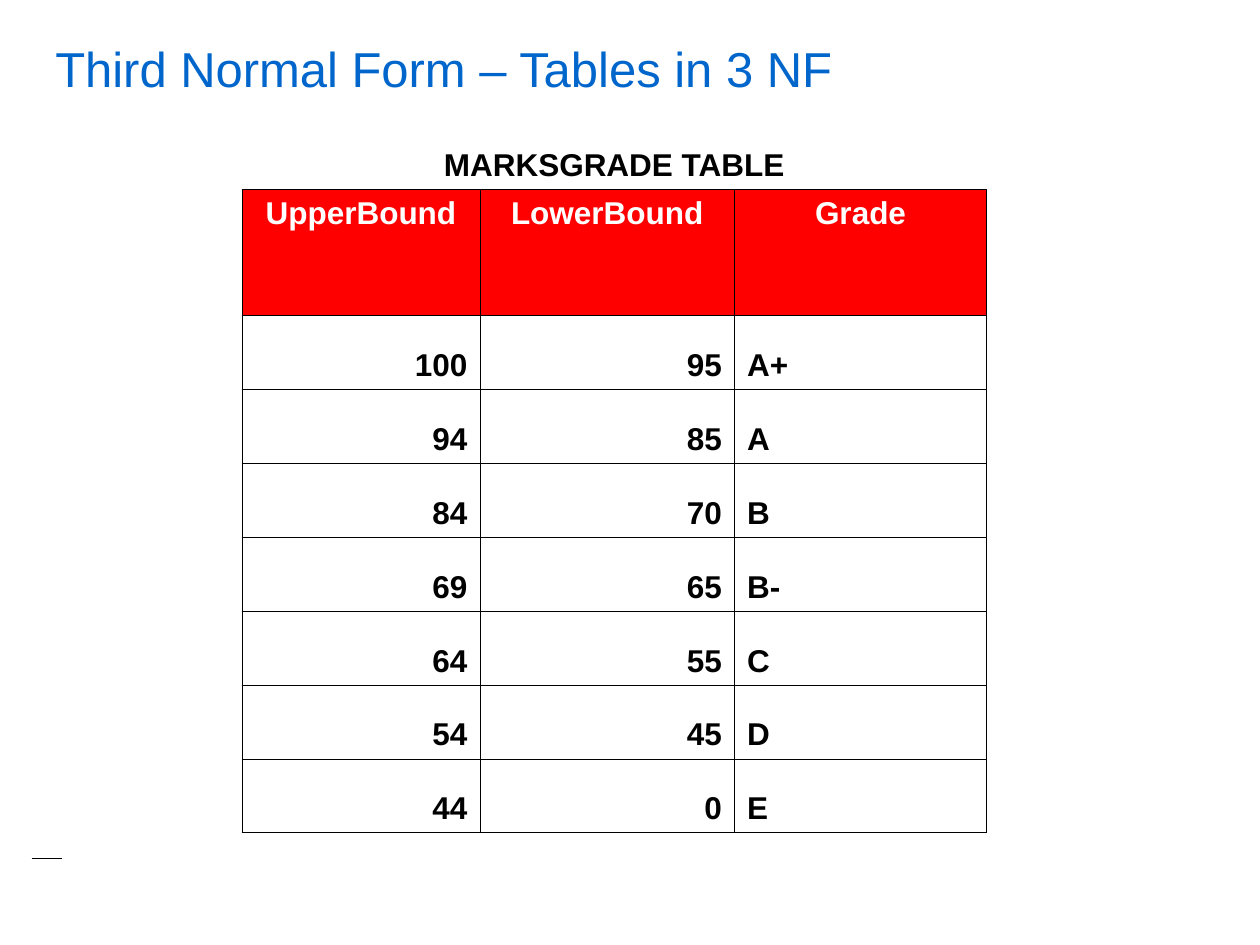
"""Build the slide on the marks and grades table in third normal form."""
from dataclasses import dataclass

from lxml.etree import SubElement
from pptx import Presentation
from pptx.dml.color import RGBColor
from pptx.enum.text import MSO_ANCHOR as Anchor, PP_ALIGN as Align
from pptx.oxml.ns import qn
from pptx.util import Inches, Pt

FONT = "Arial"
COLORS = {"title": "0066CC", "header": "FF0000", "header_text": "FFFFFF", "ink": "000000"}
GRADES = [
    ("100", "95", "A+"),
    ("94", "85", "A"),
    ("84", "70", "B"),
    ("69", "65", "B-"),
    ("64", "55", "C"),
    ("54", "45", "D"),
    ("44", "0", "E"),
]
COLUMN_WIDTHS = [1.89, 2.02, 2]
HEADER_HEIGHT = 1
TABLE_HEIGHT = 5.69


@dataclass(frozen=True)
class CellStyle:
    """Look of one kind of cell."""
    align: Align = Align.LEFT
    anchor: Anchor = Anchor.BOTTOM
    color: str = "ink"
    fill: str = ""
    borders: str = "LRTB"


CAPTION = CellStyle(Align.CENTER, borders="B")
HEADER = CellStyle(Align.CENTER, Anchor.TOP, "header_text", "header")
NUMBER = CellStyle(Align.RIGHT)
LETTER = CellStyle()
RULE = CellStyle(borders="B")


def add_run(paragraph, text: str, size: float, color: str, bold: bool = False) -> None:
    """Add one formatted run to a paragraph."""
    run = paragraph.add_run()
    run.text = text
    run.font.name = FONT
    run.font.size = Pt(size)
    run.font.bold = bold
    run.font.color.rgb = RGBColor.from_string(COLORS[color])


def style_cell(cell, style: CellStyle, text: str = "") -> None:
    """Set the borders, fill and text of a cell."""
    properties = cell._tc.get_or_add_tcPr()
    for side in "LRTB":
        line = SubElement(properties, qn(f"a:ln{side}"), w=str(Pt(0.45)))
        if side in style.borders:
            solid = SubElement(line, qn("a:solidFill"))
            SubElement(solid, qn("a:srgbClr"), val=COLORS["ink"])
        else:
            SubElement(line, qn("a:noFill"))
    if style.fill:
        cell.fill.solid()
        cell.fill.fore_color.rgb = RGBColor.from_string(COLORS[style.fill])
    else:
        cell.fill.background()
    cell.vertical_anchor = style.anchor
    paragraph = cell.text_frame.paragraphs[0]
    paragraph.alignment = style.align
    if text:
        add_run(paragraph, text, 18, style.color, bold=True)


def add_plain_table(slide, left: float, top: float, widths: list[float], heights: list[float]):
    """Add a table without banding and size its columns and rows."""
    table = slide.shapes.add_table(
        len(heights), len(widths), Inches(left), Inches(top),
        Inches(sum(widths)), Inches(sum(heights)),
    ).table
    table.first_row = table.horz_banding = False
    for column, width in zip(table.columns, widths):
        column.width = Inches(width)
    for row, height in zip(table.rows, heights):
        row.height = Inches(height)
    return table


def add_title(slide) -> None:
    """Add the slide title."""
    title = slide.shapes.add_textbox(Inches(0.34), Inches(0.26), Inches(9.38), Inches(0.56))
    title.text_frame.word_wrap = True
    title.text_frame.vertical_anchor = Anchor.MIDDLE
    add_run(title.text_frame.paragraphs[0], "Third Normal Form – Tables in 3 NF", 28, "title")


def add_marks_table(slide) -> None:
    """Add the table of mark bounds and grades."""
    row_height = (TABLE_HEIGHT - HEADER_HEIGHT) / (len(GRADES) + 1)
    heights = [row_height, HEADER_HEIGHT] + [row_height] * len(GRADES)
    marks = add_plain_table(slide, 1.92, 0.92, COLUMN_WIDTHS, heights)
    rows = [
        (("MARKSGRADE TABLE", "", ""), [CAPTION] * 3),
        (("UpperBound", "LowerBound", "Grade"), [HEADER] * 3),
        *((grade, [NUMBER, NUMBER, LETTER]) for grade in GRADES),
    ]
    for row, (texts, styles) in enumerate(rows):
        for column, (text, style) in enumerate(zip(texts, styles)):
            style_cell(marks.cell(row, column), style, text)
    marks.cell(0, 0).merge(marks.cell(0, 2))


def main() -> None:
    """Create and save the presentation."""
    deck = Presentation()
    deck.slide_width, deck.slide_height = Inches(10), Inches(7.5)
    slide = deck.slides.add_slide(deck.slide_layouts[6])
    add_title(slide)
    margin_rule = add_plain_table(slide, 0.25, 1.08, [0.23], [5.73])
    style_cell(margin_rule.cell(0, 0), RULE)
    add_marks_table(slide)
    deck.save("out.pptx")


if __name__ == "__main__":
    main()
